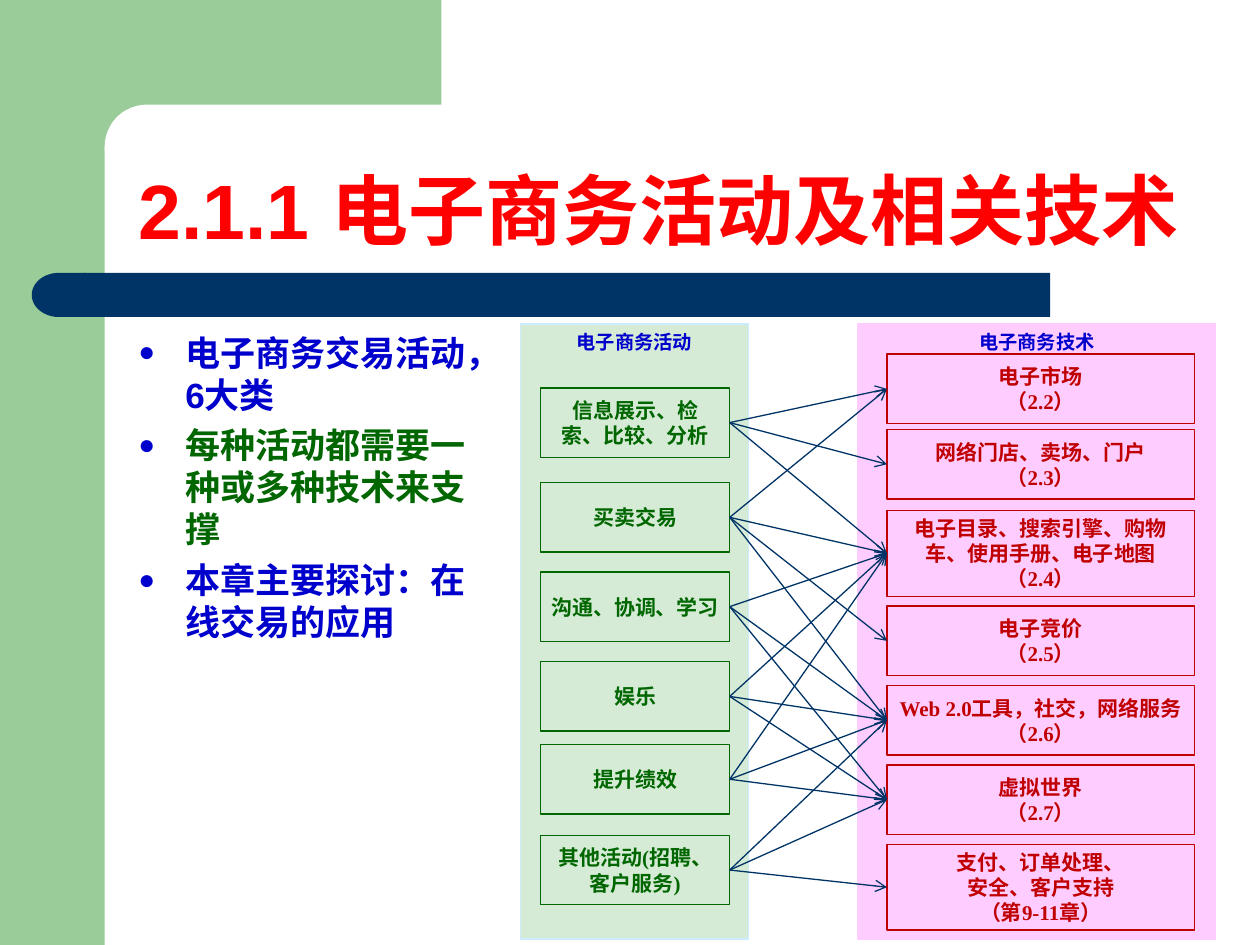
"""Build the slide on e-commerce activities and their supporting technologies."""
from lxml.etree import SubElement
from pptx import Presentation
from pptx.dml.color import RGBColor
from pptx.enum.shapes import MSO_CONNECTOR, MSO_SHAPE
from pptx.enum.text import MSO_ANCHOR, PP_ALIGN
from pptx.oxml.ns import qn
from pptx.util import Cm, Pt

WHITE = RGBColor(0xFF, 0xFF, 0xFF)
SAGE = RGBColor(0x99, 0xCC, 0x99)
NAVY = RGBColor(0x00, 0x33, 0x66)
PINK = RGBColor(0xFF, 0xCC, 0xFF)
MINT = RGBColor(0xD6, 0xEB, 0xD6)
PALE_BLUE = RGBColor(0xCC, 0xEC, 0xFF)
BLUE = RGBColor(0x00, 0x00, 0xCC)
GREEN = RGBColor(0x00, 0x66, 0x00)
CRIMSON = RGBColor(0xC0, 0x00, 0x00)
RED = RGBColor(0xFF, 0x00, 0x00)

HEADING = "Arial"
DIAGRAM = "Times New Roman"

BULLETS = [
    ("电子商务交易活动，6大类", BLUE),
    ("每种活动都需要一种或多种技术来支撑", GREEN),
    ("本章主要探讨：在线交易的应用", BLUE),
]
ACTIVITIES = [
    (7.82, "信息展示、检\n索、比较、分析"),
    (9.73, "买卖交易"),
    (11.53, "沟通、协调、学习"),
    (13.34, "娱乐"),
    (15.01, "提升绩效"),
    (16.84, "其他活动(招聘、\n客户服务)"),
]
TECHNOLOGIES = [
    (7.14, "电子市场\n（2.2）"),
    (8.66, "网络门店、卖场、门户\n（2.3）"),
    (10.29, "电子目录、搜索引擎、购物\n车、使用手册、电子地图\n（2.4）"),
    (12.22, "电子竞价\n（2.5）"),
    (13.82, "Web 2.0工具，社交，网络服务\n（2.6）"),
    (15.42, "虚拟世界\n（2.7）"),
    (17.02, "支付、订单处理、\n安全、客户支持\n（第9-11章）"),
]
SUPPORTS = [(0, 1, 2), (0, 2, 3, 4), (2, 4, 5), (2, 4, 5), (2, 4, 5), (6, 5, 4)]


def format_runs(p, font, size, color):
    """Make every run of a paragraph bold in the given font."""
    for r in p.runs:
        r.font.name = font
        r.font.size = Pt(size)
        r.font.bold = True
        r.font.color.rgb = color


def add_block(s, kind, box, fill=None, line=None):
    """Add a preset shape without shadow; box is in centimetres."""
    sp = s.shapes.add_shape(kind, *map(Cm, box))
    sp.shadow.inherit = False
    if fill is None:
        sp.fill.background()
    else:
        sp.fill.solid()
        sp.fill.fore_color.rgb = fill
    if line is None:
        sp.line.fill.background()
    else:
        sp.line.color.rgb = line
        sp.line.width = Pt(0.75)
    return sp


def add_label(sp, text, size, color, anchor):
    """Write centred lines of text in a shape."""
    tf = sp.text_frame
    tf.text = text
    tf.word_wrap = False
    tf.vertical_anchor = anchor
    for p in tf.paragraphs:
        p.alignment = PP_ALIGN.CENTER
        format_runs(p, DIAGRAM, size, color)


def add_panel(s, box, title, fill, line):
    """Add a coloured column with its heading at the top."""
    sp = add_block(s, MSO_SHAPE.RECTANGLE, box, fill, line)
    add_label(sp, title, 11, BLUE, MSO_ANCHOR.TOP)


def add_column(s, left, width, items, color):
    """Add a column of outlined boxes and return them."""
    boxes = []
    for top, text in items:
        height = 1.73 if text.count("\n") == 2 else 1.4
        sp = add_block(s, MSO_SHAPE.RECTANGLE, (left, top, width, height), line=color)
        add_label(sp, text, 12, color, MSO_ANCHOR.MIDDLE)
        boxes.append(sp)
    return boxes


def add_arrow(s, source, target):
    """Join the right side of one box to the left side of another."""
    line = s.shapes.add_connector(MSO_CONNECTOR.STRAIGHT, 0, 0, 0, 0)
    line.begin_connect(source, 3)
    line.end_connect(target, 1)
    line.line.color.rgb = NAVY
    line.line.width = Pt(0.75)
    SubElement(line.line._get_or_add_ln(), qn("a:tailEnd"), type="arrow")
    SubElement(line._element.spPr, qn("a:effectLst"))


def add_backdrop(s):
    """Add the green corner and the navy bar."""
    add_block(s, MSO_SHAPE.RECTANGLE, (0, 0, 2.11, 19.05), SAGE)
    add_block(s, MSO_SHAPE.RECTANGLE, (1.9, 0, 7, 2.97), SAGE)
    corner = add_block(s, MSO_SHAPE.ROUNDED_RECTANGLE, (2.11, 2.11, 14.17, 1.7), WHITE)
    corner.adjustments[0] = 0.5
    add_block(s, MSO_SHAPE.RECTANGLE, (1.7, 5.5, 19.47, 0.89), NAVY)
    cap = add_block(s, MSO_SHAPE.FLOWCHART_DELAY, (0.64, 5.5, 1.09, 0.89), NAVY)
    cap.rotation = 180


def add_title(s, text):
    """Add the slide title."""
    tf = s.shapes.add_textbox(Cm(2.54), Cm(2.11), Cm(22.22), Cm(3.18)).text_frame
    tf.word_wrap = True
    tf.vertical_anchor = MSO_ANCHOR.BOTTOM
    tf.text = text
    p = tf.paragraphs[0]
    p.line_spacing = 0.9
    format_runs(p, HEADING, 44, RED)


def add_bullets(s, items):
    """Add the bulleted summary."""
    tf = s.shapes.add_textbox(Cm(2.54), Cm(6.55), Cm(7.77), Cm(10.36)).text_frame
    tf.word_wrap = True
    tf.text = "\n".join(text for text, _ in items)
    for i, (p, (_, color)) in enumerate(zip(tf.paragraphs, items)):
        pPr = p._p.get_or_add_pPr()
        pPr.set("marL", str(Cm(0.95)))
        pPr.set("indent", str(-Cm(0.95)))
        SubElement(SubElement(pPr, qn("a:buClr")), qn("a:srgbClr"), val=str(BLUE))
        SubElement(pPr, qn("a:buSzPct"), val="80000")
        SubElement(pPr, qn("a:buFont"), typeface=HEADING)
        SubElement(pPr, qn("a:buChar"), char="●")
        if i:
            p.space_before = Pt(5)
        format_runs(p, HEADING, 20, color)


def main():
    """Build and save the presentation."""
    prs = Presentation()
    prs.slide_width, prs.slide_height = Cm(25.4), Cm(19.05)
    s = prs.slides.add_slide(prs.slide_layouts[6])
    add_backdrop(s)
    add_panel(s, (17.3, 6.53, 7.21, 12.4), "电子商务技术", PINK, PINK)
    add_panel(s, (10.49, 6.53, 4.6, 12.4), "电子商务活动", MINT, PALE_BLUE)
    add_title(s, "2.1.1 电子商务活动及相关技术")
    add_bullets(s, BULLETS)
    activities = add_column(s, 10.9, 3.81, ACTIVITIES, GREEN)
    technologies = add_column(s, 17.88, 6.2, TECHNOLOGIES, CRIMSON)
    for activity, targets in zip(activities, SUPPORTS):
        for i in targets:
            add_arrow(s, activity, technologies[i])
    prs.save("out.pptx")


if __name__ == "__main__":
    main()
